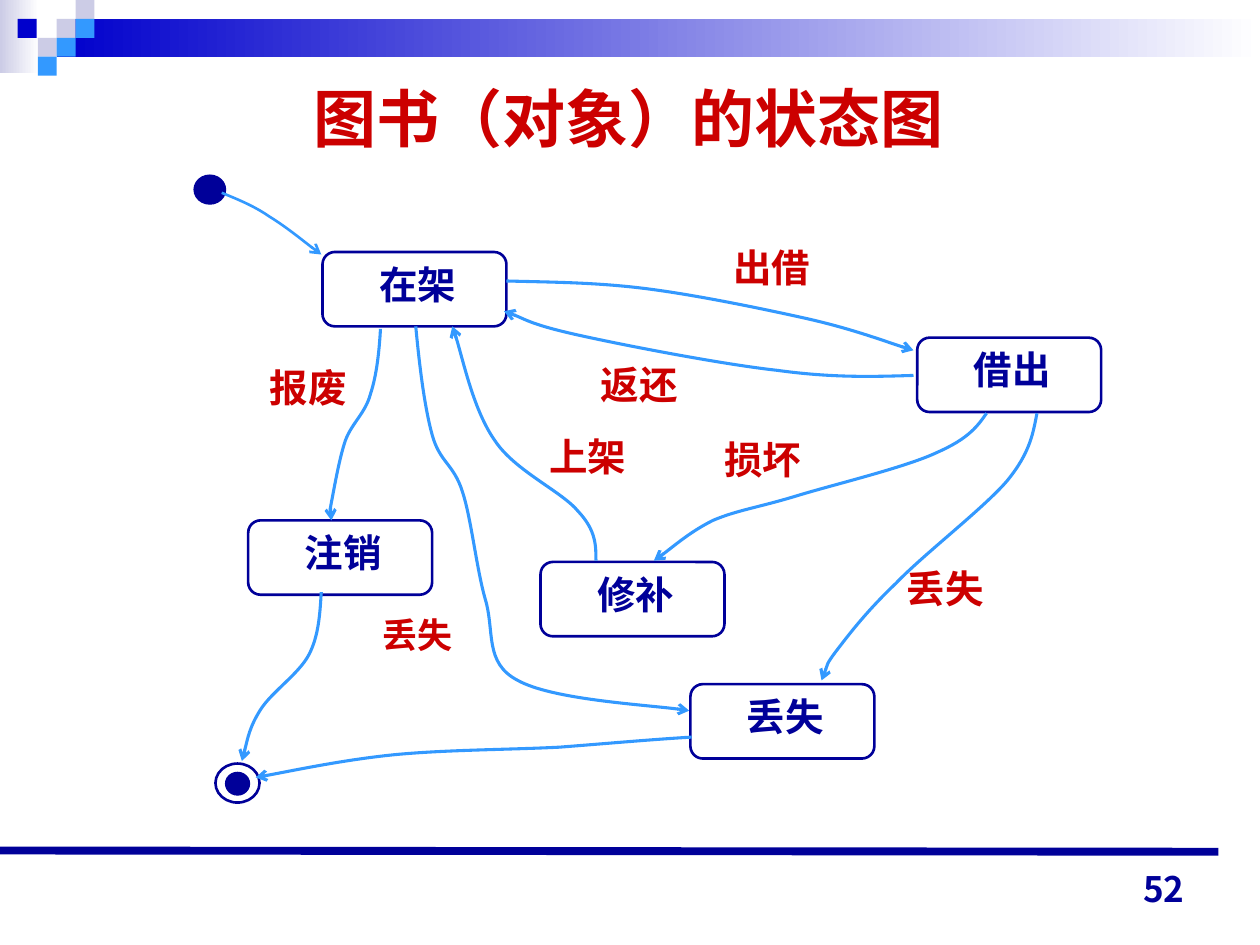
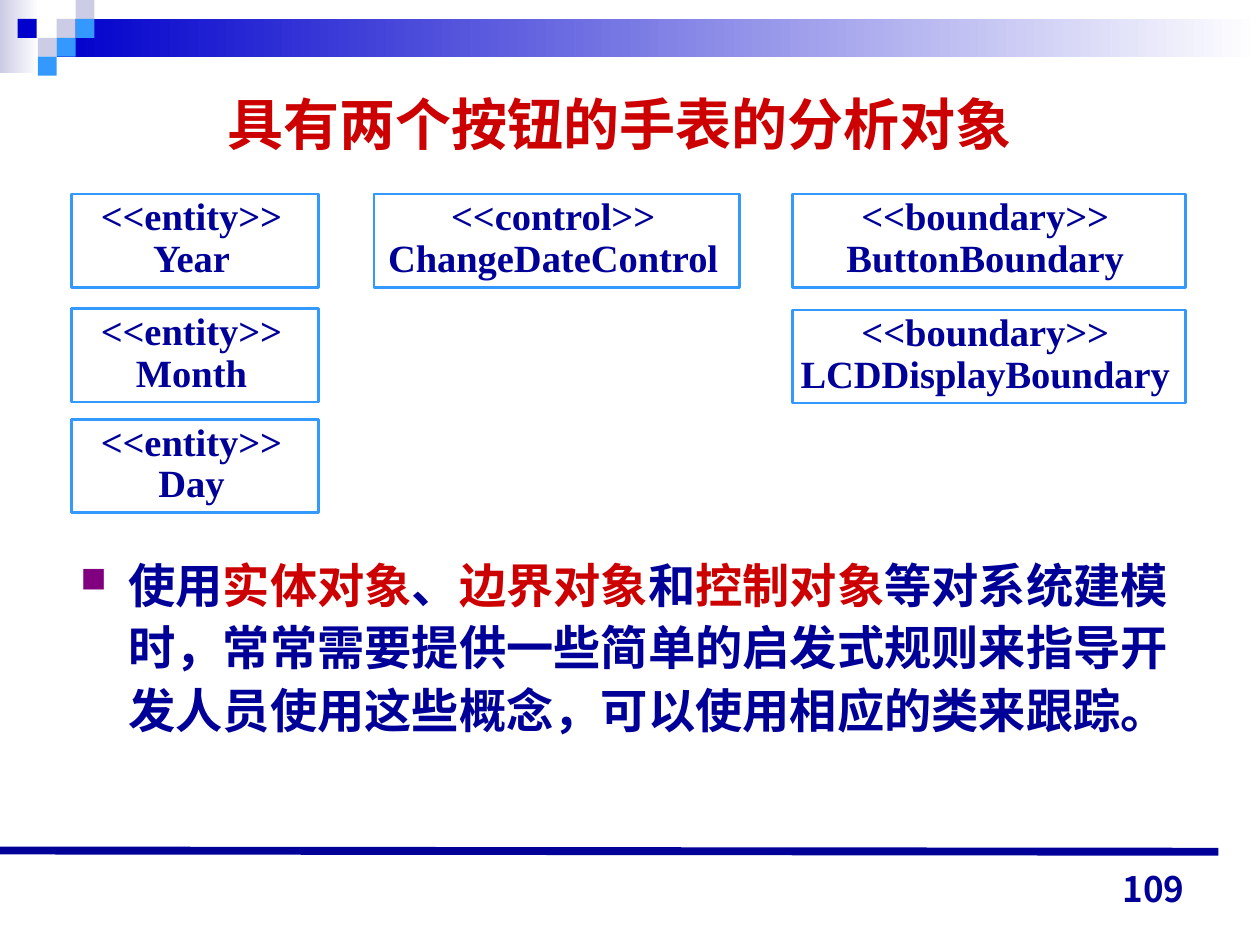
from lxml.etree import SubElement
from pptx import Presentation
from pptx.dml.color import RGBColor
from pptx.enum.shapes import MSO_CONNECTOR, MSO_SHAPE
from pptx.enum.text import MSO_ANCHOR, MSO_AUTO_SIZE, PP_ALIGN
from pptx.oxml.ns import qn
from pptx.util import Inches, Pt

NAVY, BLUE, SKY, LILAC = "000099", "0000CC", "3399FF", "CCCCE6"
RED, PURPLE, WHITE = "CC0000", "800080", "FFFFFF"
SANS, SERIF, CJK, CJK_JP = "Arial", "Times New Roman", "Noto Sans CJK SC", "Noto Sans CJK JP"

BANDS = [((0, 0, 0.31, 0.58), LILAC), ((0.45, 0.15, 9.55, 0.3), BLUE)]
TILE = 0.15
TILES = [(0.45, 0.15, LILAC), (0.6, 0, LILAC), (0.6, 0.15, SKY), (0.3, 0.3, LILAC),
         (0.14, 0.15, BLUE), (0.45, 0.3, SKY), (0.3, 0.45, SKY)]

STATE_TITLE = dict(text="图书（对象）的状态图", box=(0.49, 0.51, 9, 0.84), size=36, font=CJK)
STATES = [("借出", 7.28, 2.68), ("在架", 2.56, 2), ("丢失", 5.48, 5.43),
          ("修补", 4.29, 4.46), ("注销", 1.97, 4.13)]
STATE_SIZE = (1.46, 0.59)
DOTS = [((1.54, 1.39, 0.25, 0.23), NAVY, 0.75), ((1.71, 6.06, 0.35, 0.31), WHITE, 1.5),
        ((1.79, 6.13, 0.19, 0.18), NAVY, 0.75)]
EVENTS = [
    ("报废", (2.04, 2.88, 0.81, 0.43), dict(align=PP_ALIGN.CENTER, spacing=0.9)),
    ("出借", (5.36, 1.93, 1.53, 0.43), dict(align=PP_ALIGN.CENTER, spacing=0.9)),
    ("返还", (4.67, 2.86, 1.24, 0.43), dict(spacing=0.9)),
    ("丢失", (7.1, 4.48, 1.1, 0.43), dict(spacing=0.9)),
    ("丢失", (2.94, 4.86, 1.01, 0.4), dict(spacing=0.9, size=20, font=SERIF)),
    ("损坏", (5.65, 3.45, 1.07, 0.43), dict(spacing=0.9)),
    ("上架", (4.26, 3.39, 0.81, 0.47), {}),
]
START_CURVE = [(1.76, 1.53), (1.88, 1.58), (2.01, 1.63), (2.14, 1.72),
               (2.27, 1.8), (2.48, 1.97), (2.55, 2.02)]
CURVES = [
    [(4.02, 2.23), (4.37, 2.24), (4.72, 2.24), (5.12, 2.29), (5.52, 2.34), (6.05, 2.45),
     (6.41, 2.53), (6.76, 2.61), (7.11, 2.74), (7.25, 2.78)],
    [(7.25, 2.98), (6.93, 2.99), (6.61, 3), (6.17, 2.94), (5.72, 2.89), (4.95, 2.74),
     (4.59, 2.66), (4.23, 2.58), (4.1, 2.5), (4, 2.47)],
    [(7.83, 3.28), (7.76, 3.38), (7.69, 3.48), (7.44, 3.59), (7.19, 3.71), (6.6, 3.85),
     (6.31, 3.94), (6.01, 4.03), (5.85, 4.05), (5.66, 4.13), (5.48, 4.22), (5.27, 4.4),
     (5.19, 4.45)],
    [(4.73, 4.45), (4.73, 4.33), (4.73, 4.21), (4.59, 4.06), (4.46, 3.9), (4.09, 3.74),
     (3.93, 3.5), (3.76, 3.26), (3.65, 2.74), (3.59, 2.59)],
    [(3.02, 2.61), (3.01, 2.79), (2.99, 2.98), (2.94, 3.13), (2.9, 3.28), (2.79, 3.36),
     (2.74, 3.5), (2.69, 3.65), (2.65, 3.89), (2.63, 3.99), (2.61, 4.1), (2.63, 4.11),
     (2.63, 4.13)],
    [(2.55, 4.7), (2.54, 4.87), (2.53, 5.05), (2.45, 5.2), (2.37, 5.35), (2.16, 5.49),
     (2.07, 5.63), (1.98, 5.77), (1.94, 5.97), (1.92, 6.04)],
    [(3.3, 2.59), (3.33, 2.91), (3.37, 3.23), (3.43, 3.45), (3.49, 3.67), (3.6, 3.68),
     (3.67, 3.9), (3.74, 4.11), (3.78, 4.5), (3.85, 4.75), (3.93, 5.01), (3.84, 5.26),
     (4.11, 5.4), (4.38, 5.55), (5.24, 5.6), (5.47, 5.64)],
    [(8.23, 3.28), (8.2, 3.43), (8.18, 3.59), (7.99, 3.82), (7.8, 4.04), (7.33, 4.4),
     (7.11, 4.63), (6.88, 4.85), (6.75, 5.02), (6.65, 5.15), (6.55, 5.28), (6.54, 5.36),
     (6.52, 5.4)],
    [(5.49, 5.85), (5.16, 5.87), (4.83, 5.9), (4.44, 5.93), (4.05, 5.95), (3.54, 5.95),
     (3.13, 5.99), (2.73, 6.03), (2.21, 6.14), (2.03, 6.17)],
]

WATCH_TITLE = dict(text="具有两个按钮的手表的分析对象", box=(0.42, 0.51, 9, 0.93), size=32, font=SANS)
CLASS_HEIGHT = 0.74
CLASSES = [
    ("entity", "Day", 0.57, 3.33, 1.96, 1.64),
    ("entity", "Month", 0.57, 2.45, 1.96, 1.64),
    ("entity", "Year", 0.57, 1.54, 1.96, 1.64),
    ("control", "ChangeDateControl", 2.97, 1.54, 2.9, 2.82),
    ("boundary", "ButtonBoundary", 6.29, 1.54, 3.12, 2.4),
    ("boundary", "LCDDisplayBoundary", 6.29, 2.46, 3.12, 3.13),
]
ADVICE = [("使用", NAVY), ("实体对象", RED), ("、", NAVY), ("边界对象", RED), ("和", NAVY),
          ("控制对象", RED), ("等对系统建模时，常常需要提供一些简单的启发式规则来指导开发人员"
                         "使用这些概念，可以使用相应的类来跟踪。", NAVY)]


def rgb(color):
    return RGBColor.from_string(color)


def place(box):
    return [Inches(v) for v in box]


def paint(shape, fill=None, line=None, width=1.5):
    shape.shadow.inherit = False
    if fill:
        shape.fill.solid()
        shape.fill.fore_color.rgb = rgb(fill)
    else:
        shape.fill.background()
    if line:
        shape.line.color.rgb = rgb(line)
        shape.line.width = Pt(width)
    else:
        shape.line.fill.background()


def add_box(s, kind, box, fill, line=None, width=1.5):
    shape = s.shapes.add_shape(kind, *place(box))
    paint(shape, fill, line, width)
    return shape


def set_text(shape, lines, size, font=SANS, color=NAVY, align=PP_ALIGN.LEFT,
             anchor=MSO_ANCHOR.TOP, spacing=None, wrap=True):
    tf = shape.text_frame
    frame = dict(auto_size=MSO_AUTO_SIZE.NONE, word_wrap=wrap, vertical_anchor=anchor,
                 margin_left=Inches(0.1), margin_right=Inches(0.1),
                 margin_top=Inches(0.05), margin_bottom=Inches(0.05))
    for name, value in frame.items():
        setattr(tf, name, value)
    for i, runs in enumerate(lines):
        p = tf.add_paragraph() if i else tf.paragraphs[0]
        p.alignment = align
        if spacing:
            p.line_spacing = spacing
        for text, run_color in [(runs, color)] if isinstance(runs, str) else runs:
            r = p.add_run()
            r.text = text
            for name, value in dict(size=Pt(size), name=font, bold=True).items():
                setattr(r.font, name, value)
            r.font.color.rgb = rgb(run_color)
    return tf


def add_text(s, box, lines, size, **style):
    return set_text(s.shapes.add_textbox(*place(box)), lines, size, **style)


def add_curve(s, points, width=1.75):
    start, *rest = [place(point) for point in points]
    builder = s.shapes.build_freeform(*start)
    builder.add_line_segments(rest, close=False)
    curve = builder.convert_to_shape()
    paint(curve, line=SKY, width=width)
    segments = curve.element.xpath(".//a:lnTo")
    for i in range(0, len(segments), 3):
        bezier = SubElement(segments[i].getparent(), qn("a:cubicBezTo"))
        for segment in segments[i:i + 3]:
            bezier.append(segment[0])
            segment.getparent().remove(segment)
    SubElement(curve.element.xpath(".//a:ln")[0], qn("a:tailEnd"), type="arrow")


def add_slide(prs, title, number):
    s = prs.slides.add_slide(prs.slide_layouts[5])
    for box, color in BANDS:
        band = add_box(s, MSO_SHAPE.RECTANGLE, box, WHITE)
        band.fill.gradient()
        band.fill.gradient_angle = 180
        for stop, stop_color in zip(band.fill.gradient_stops, (WHITE, color)):
            stop.color.rgb = rgb(stop_color)
    for x, y, color in TILES:
        add_box(s, MSO_SHAPE.RECTANGLE, (x, y, TILE, TILE), color)
    rule = s.shapes.add_connector(MSO_CONNECTOR.STRAIGHT, *place((0, 6.75, 9.67, 6.76)))
    rule.line.color.rgb = rgb(NAVY)
    rule.line.width = Pt(4.5)
    SubElement(rule.element.spPr, qn("a:effectLst"))
    holder = s.shapes.title
    holder.left, holder.top, holder.width, holder.height = place(title["box"])
    set_text(holder, [title["text"]], title["size"], font=title["font"], color=RED,
             align=PP_ALIGN.CENTER, anchor=MSO_ANCHOR.MIDDLE)
    add_text(s, (7.17, 6.77, 2.33, 0.5), [number], 20, font=CJK_JP,
             align=PP_ALIGN.RIGHT, anchor=MSO_ANCHOR.BOTTOM)
    return s


def build_states(prs):
    s = add_slide(prs, STATE_TITLE, "52")
    for name, x, y in STATES:
        add_box(s, MSO_SHAPE.FLOWCHART_ALTERNATE_PROCESS, (x, y, *STATE_SIZE), WHITE, NAVY)
        add_text(s, (x + 0.35, y + 0.02, 0.81, 0.47), [name], 22, wrap=False)
    for box, fill, width in DOTS:
        add_box(s, MSO_SHAPE.OVAL, box, fill, NAVY, width)
    for name, box, style in EVENTS:
        add_text(s, box, [name], **{"size": 22, "color": RED, **style})
    add_curve(s, START_CURVE, 1.5)
    for points in CURVES:
        add_curve(s, points)


def build_watch(prs):
    s = add_slide(prs, WATCH_TITLE, "109")
    for stereotype, name, x, y, width, text_width in CLASSES:
        add_box(s, MSO_SHAPE.RECTANGLE, (x, y, width, CLASS_HEIGHT), WHITE, SKY)
        text_x = x + (width - text_width) / 2 - 0.03
        add_text(s, (text_x, y - 0.02, text_width, 0.76), [f"<<{stereotype}>>", name], 22,
                 font=SERIF, align=PP_ALIGN.CENTER, spacing=0.9, wrap=False)
    tf = add_text(s, (0.54, 4.32, 9, 2.24), [ADVICE], 27, spacing=1.1)
    pPr = tf.paragraphs[0]._p.get_or_add_pPr()
    pPr.set("marL", str(Inches(0.38)))
    pPr.set("indent", str(-Inches(0.38)))
    SubElement(SubElement(pPr, qn("a:buClr")), qn("a:srgbClr"), val=PURPLE)
    SubElement(pPr, qn("a:buSzPct"), val="75000")
    SubElement(pPr, qn("a:buChar"), char="■")


def main():
    prs = Presentation()
    prs.slide_width, prs.slide_height = Inches(10), Inches(7.5)
    build_states(prs)
    build_watch(prs)
    prs.save("out.pptx")


if __name__ == "__main__":
    main()
